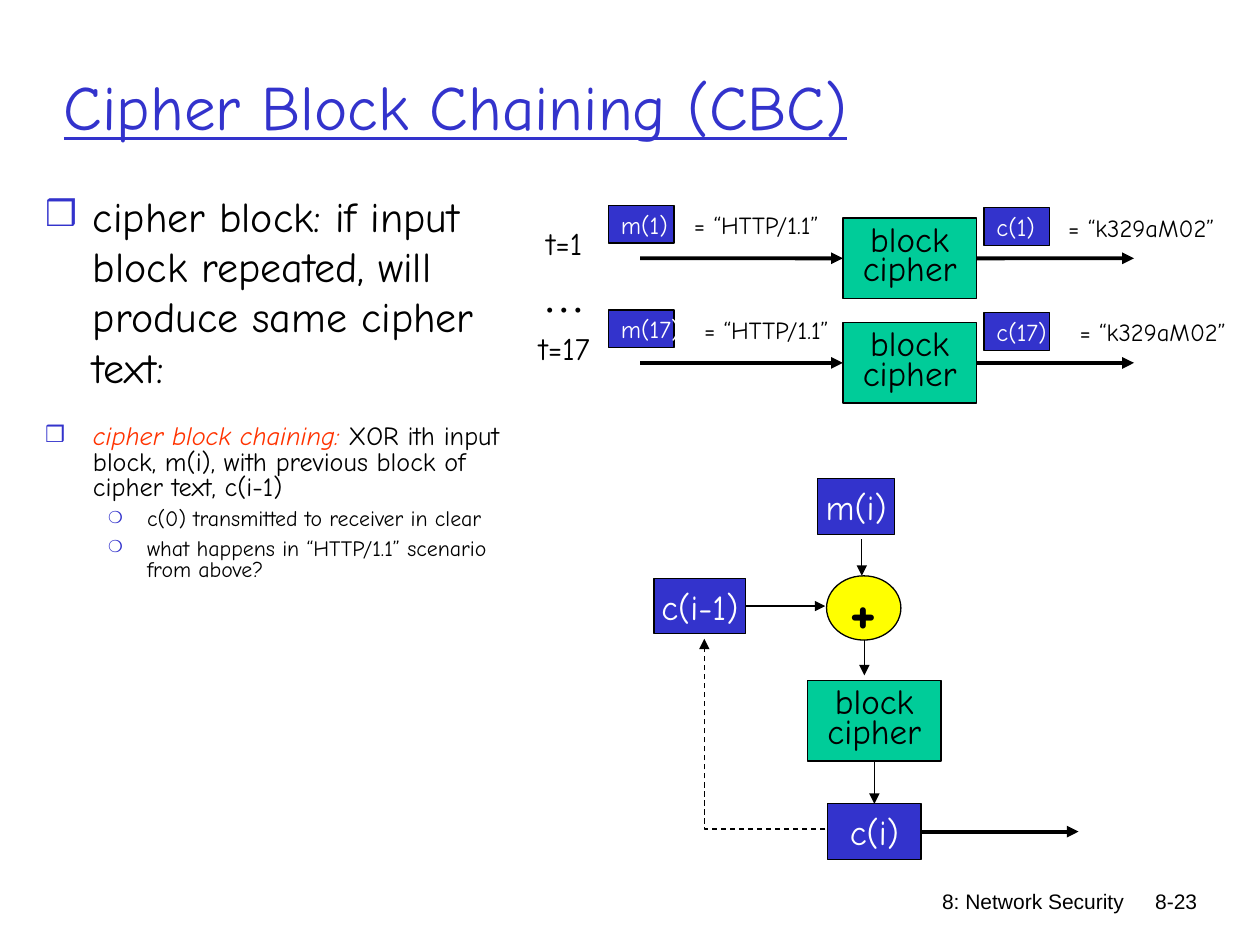
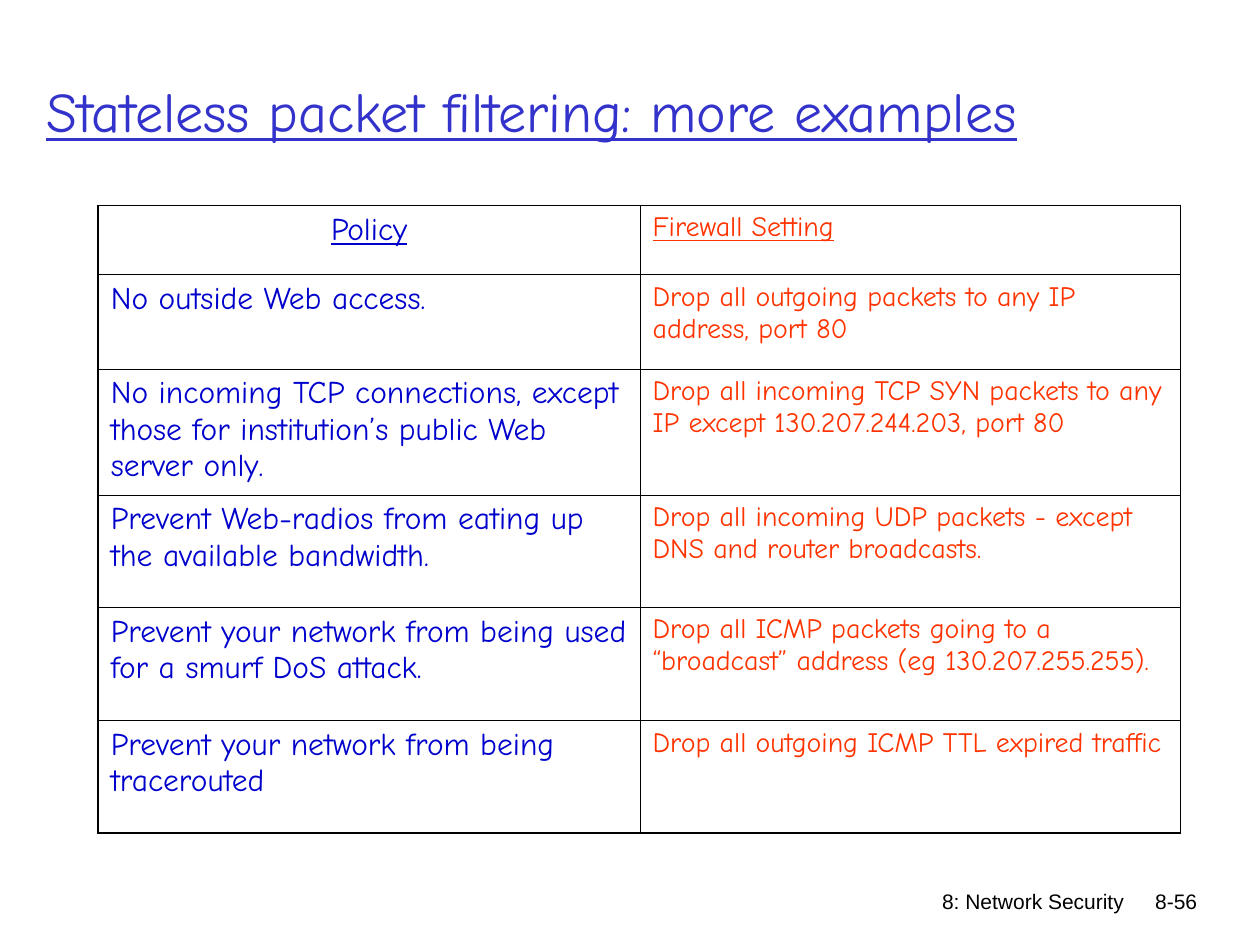
"""Build two network security slides: cipher block chaining and packet filtering."""
from dataclasses import dataclass
from typing import Optional

from lxml import etree
from pptx import Presentation
from pptx.dml.color import RGBColor
from pptx.enum.dml import MSO_LINE
from pptx.enum.shapes import MSO_CONNECTOR, MSO_SHAPE
from pptx.enum.text import MSO_ANCHOR, PP_ALIGN
from pptx.oxml.ns import qn
from pptx.util import Inches, Pt

BLACK = RGBColor(0, 0, 0)
WHITE = RGBColor(255, 255, 255)
BLUE = RGBColor(0x33, 0x33, 0xCC)
NAVY = RGBColor(0, 0, 0xCC)
GREEN = RGBColor(0, 0xCC, 0x99)
YELLOW = RGBColor(255, 255, 0)
RED = RGBColor(255, 0x33, 0)

COMIC, ARIAL, TIMES = "Comic Neue", "Arial", "Times New Roman"
LEFT, CENTER, RIGHT = PP_ALIGN.LEFT, PP_ALIGN.CENTER, PP_ALIGN.RIGHT
TOP, MIDDLE = MSO_ANCHOR.TOP, MSO_ANCHOR.MIDDLE
RECT, OVAL = MSO_SHAPE.RECTANGLE, MSO_SHAPE.OVAL
STRAIGHT, DASH = MSO_CONNECTOR.STRAIGHT, MSO_LINE.DASH
SIDE_LEFT, SIDE_DOWN, SIDE_RIGHT, SIDE_UP = 1, 2, 3, 0
THIN, THICK = 0.75, 2.25


@dataclass
class Run:
    """A stretch of text with one look."""
    text: str
    size: float
    color: RGBColor = BLACK
    font: str = COMIC
    bold: bool = False
    slant: bool = False
    under: bool = False


@dataclass
class Area:
    """A place on the slide, in inches."""
    x: float
    y: float
    w: float
    h: float

    def lengths(self) -> list:
        """Return the four lengths for a new shape."""
        return [Inches(v) for v in (self.x, self.y, self.w, self.h)]


@dataclass
class Block:
    """A filled shape with centred lines of text."""
    area: Area
    fill: RGBColor
    lines: list
    kind: int = RECT
    align: int = CENTER
    spacing: float = 1.0


@dataclass
class Wire:
    """An arrow that may join a block at either end."""
    start: tuple
    end: tuple
    width: float = THIN
    source: Optional[tuple] = None
    target: Optional[tuple] = None


@dataclass
class Point:
    """A bulleted paragraph."""
    runs: list
    level: int = 0
    spacing: float = 1.0


@dataclass
class Step:
    """One time step of the plain block cipher."""
    time: int
    top: float
    plain_x: float
    coded_x: float


STEPS = [Step(1, 1.63, 5.41, 8.38), Step(17, 2.46, 5.49, 8.47)]
BULLETS = [("❒", 85, 0.38, 0.38), ("❍", 75, 0.81, 0.31)]
POLICIES = [
    ("Policy", "Firewall Setting"),
    ("No outside Web access.",
     "Drop all outgoing packets to any IP address, port 80"),
    ("No incoming TCP connections, except those for institution’s public Web server only.",
     "Drop all incoming TCP SYN packets to any IP except 130.207.244.203, port 80"),
    ("Prevent Web-radios from eating up the available bandwidth.",
     "Drop all incoming UDP packets - except DNS and router broadcasts."),
    ("Prevent your network from being used for a smurf DoS attack.",
     "Drop all ICMP packets going to a “broadcast” address (eg 130.207.255.255)."),
    ("Prevent your network from being tracerouted",
     "Drop all outgoing ICMP TTL expired traffic"),
]
COLUMNS = [4.3, 4.29]
ROWS = [0.55, 0.75, 1, 0.89, 0.9, 0.89]


def write(para, run: Run) -> None:
    """Add one run to a paragraph."""
    part = para.add_run()
    part.text = run.text
    font = part.font
    font.name, font.size, font.color.rgb = run.font, Pt(run.size), run.color
    font.bold, font.italic, font.underline = run.bold, run.slant, run.under


def add_text(slide, area: Area, run: Run, align: int = LEFT,
             wrap: bool = False, anchor: int = TOP) -> None:
    """Add a text box with a single run."""
    frame = slide.shapes.add_textbox(*area.lengths()).text_frame
    frame.word_wrap, frame.vertical_anchor = wrap, anchor
    para = frame.paragraphs[0]
    para.alignment = align
    write(para, run)


def add_block(slide, block: Block):
    """Draw a filled shape and return it."""
    shape = slide.shapes.add_shape(block.kind, *block.area.lengths())
    shape.shadow.inherit = False
    shape.fill.solid()
    shape.fill.fore_color.rgb = block.fill
    shape.line.color.rgb, shape.line.width = BLACK, Pt(THIN)
    frame = shape.text_frame
    frame.word_wrap, frame.vertical_anchor = False, MIDDLE
    frame.margin_top = frame.margin_bottom = 0
    frame.margin_left = Inches(0.1 if block.align == LEFT else 0)
    frame.margin_right = 0
    for i, run in enumerate(block.lines):
        para = frame.add_paragraph() if i else frame.paragraphs[0]
        para.alignment, para.line_spacing = block.align, block.spacing
        write(para, run)
    return shape


def add_head(line) -> None:
    """Give a line black ink and an arrowhead at its end."""
    line.color.rgb = BLACK
    etree.SubElement(line._get_or_add_ln(), qn("a:tailEnd"), type="triangle")


def add_wire(slide, wire: Wire) -> None:
    """Draw an arrow and join it to its blocks."""
    ends = [Inches(v) for v in (*wire.start, *wire.end)]
    link = slide.shapes.add_connector(STRAIGHT, *ends)
    if wire.source:
        link.begin_connect(*wire.source)
    if wire.target:
        link.end_connect(*wire.target)
    link.line.width = Pt(wire.width)
    add_head(link.line)
    etree.SubElement(link._element.spPr, qn("a:effectLst"))


def add_points(slide, area: Area, points: list) -> None:
    """Add a list of bulleted paragraphs."""
    frame = slide.shapes.add_textbox(*area.lengths()).text_frame
    frame.word_wrap = True
    for i, point in enumerate(points):
        para = frame.add_paragraph() if i else frame.paragraphs[0]
        mark, size, margin, hang = BULLETS[point.level]
        para.level, para.line_spacing = point.level, point.spacing
        para.space_before = Pt(5 if i else 0)
        props = para._p.get_or_add_pPr()
        props.set("marL", str(Inches(margin)))
        props.set("indent", str(-Inches(hang)))
        ink = etree.SubElement(props, qn("a:buClr"))
        etree.SubElement(ink, qn("a:srgbClr"), val=str(BLUE))
        etree.SubElement(props, qn("a:buSzPct"), val=str(size * 1000))
        etree.SubElement(props, qn("a:buFont"), typeface=COMIC)
        etree.SubElement(props, qn("a:buChar"), char=mark)
        for run in point.runs:
            write(para, run)


def start_slide(deck, page: str, title: Run, area: Area):
    """Add a slide with its footer, page number and title."""
    slide = deck.slides.add_slide(deck.slide_layouts[6])
    for text, place in (("8: Network Security", Area(5.85, 7, 3.17, 0.5)),
                        (page, Area(8.8, 7, 0.8, 0.32))):
        add_text(slide, place, Run(text, 12, font=ARIAL), RIGHT, wrap=True)
    add_text(slide, area, title, wrap=True, anchor=MIDDLE)
    return slide


def cipher_block(x: float, y: float) -> Block:
    """Describe a green cipher box."""
    lines = [Run("block", 20), Run("cipher", 20)]
    return Block(Area(x, y, 1.06, 0.64), GREEN, lines, spacing=0.7)


def draw_step(slide, step: Step) -> None:
    """Draw one time step, from message to coded text."""
    top, mid = step.top, step.top + 0.42
    add_text(slide, Area(4.08, top + 0.1, 0.8, 0.4), Run(f"t={step.time}", 18), CENTER)
    box = add_block(slide, cipher_block(6.69, top + 0.1))
    for name, x, y, text, text_x, width in (
            ("m", 4.83, top, "= “HTTP/1.1”", step.plain_x, 1.2),
            ("c", 7.81, top + 0.02, "= “k329aM02”", step.coded_x, 1.5)):
        label = Run(f"{name}({step.time})", 14, WHITE)
        add_block(slide, Block(Area(x, y, 0.52, 0.3), BLUE, [label], align=LEFT))
        add_text(slide, Area(text_x, y - 0.01, width, 0.34), Run(text, 14))
    add_wire(slide, Wire((5.08, mid), (6.69, mid), THICK, target=(box, SIDE_LEFT)))
    add_wire(slide, Wire((7.75, mid), (9, mid), THICK, source=(box, SIDE_RIGHT)))


def draw_chain(slide) -> None:
    """Draw the chain with its feedback loop."""
    def value(text: str, x: float, y: float, w: float):
        """Draw one blue value box."""
        return add_block(slide, Block(Area(x, y, w, 0.44), BLUE, [Run(text, 20, WHITE)]))

    value("m(i)", 6.49, 3.8, 0.61)
    prior = value("c(i-1)", 5.19, 4.59, 0.73)
    coded = value("c(i)", 6.57, 6.38, 0.74)
    add_block(slide, Block(Area(6.56, 4.57, 0.59, 0.51), YELLOW,
                           [Run("+", 36, bold=True)], OVAL))
    box = add_block(slide, cipher_block(6.41, 5.4))
    for wire in (
            Wire((6.84, 4.28), (6.84, 4.57)),
            Wire((5.92, 4.81), (6.55, 4.81), source=(prior, SIDE_RIGHT)),
            Wire((6.86, 5.08), (6.86, 5.36)),
            Wire((6.94, 6.04), (6.94, 6.38), source=(box, SIDE_DOWN), target=(coded, SIDE_UP)),
            Wire((7.31, 6.6), (8.56, 6.6), THICK, source=(coded, SIDE_RIGHT))):
        add_wire(slide, wire)
    pen = slide.shapes.build_freeform(Inches(6.55), Inches(6.58))
    pen.add_line_segments([(Inches(5.59), Inches(6.58)), (Inches(5.59), Inches(5.07))], close=False)
    loop = pen.convert_to_shape()
    loop.shadow.inherit = False
    loop.fill.background()
    loop.line.width, loop.line.dash_style = Pt(THIN), DASH
    add_head(loop.line)


def add_border(cell, side: str, width: float) -> None:
    """Draw one black edge of a cell."""
    props = cell._tc.get_or_add_tcPr()
    edge = etree.SubElement(props, qn(f"a:ln{side}"), w=str(Pt(width)))
    fill = etree.SubElement(edge, qn("a:solidFill"))
    etree.SubElement(fill, qn("a:srgbClr"), val=str(BLACK))


def draw_table(slide) -> None:
    """Draw the table of policies and firewall settings."""
    area = Area(0.78, 1.63, sum(COLUMNS), sum(ROWS))
    table = slide.shapes.add_table(len(ROWS), len(COLUMNS), *area.lengths()).table
    table.first_row = table.horz_banding = False
    for col, width in zip(table.columns, COLUMNS):
        col.width = Inches(width)
    for r, (height, texts) in enumerate(zip(ROWS, POLICIES)):
        table.rows[r].height = Inches(height)
        for c, text in enumerate(texts):
            cell = table.cell(r, c)
            outer = {"L": c == 0, "R": c == len(COLUMNS) - 1,
                     "T": r == 0, "B": r == len(ROWS) - 1}
            for side, edge in outer.items():
                add_border(cell, side, 1.08 if edge else 0.45)
            cell.fill.background()
            para = cell.text_frame.paragraphs[0]
            para.alignment = CENTER if r == c == 0 else LEFT
            size, color = ((18, NAVY), (16, RED))[c]
            write(para, Run(text, size, color, under=r == 0))


def main() -> None:
    """Build and save both slides."""
    deck = Presentation()
    deck.slide_width, deck.slide_height = Inches(10), Inches(7.5)

    title = Run("Cipher Block Chaining (CBC)", 36, BLUE, under=True)
    slide = start_slide(deck, "8-23", title, Area(0.41, 0.21, 8.67, 1.25))
    add_points(slide, Area(0.26, 1.46, 3.86, 1.91), [Point([
        Run("cipher block: if input block repeated, will produce same cipher text:", 24)])])
    add_points(slide, Area(0.26, 3.33, 3.96, 1.91), [
        Point([Run("cipher block chaining:", 15, RED, slant=True),
               Run(" XOR ith input block, m(i), with previous block of cipher text, c(i-1)", 15)],
              spacing=0.8),
        Point([Run("c(0) transmitted to receiver in clear", 12.5)], 1, 0.8),
        Point([Run("what happens in “HTTP/1.1” scenario from above?", 12.5)], 1, 0.8)])
    for step in STEPS:
        draw_step(slide, step)
    add_text(slide, Area(4.21, 2.1, 0.53, 0.5), Run("…", 24, font=TIMES), CENTER)
    draw_chain(slide)

    title = Run("Stateless packet filtering: more examples", 32, BLUE, under=True)
    slide = start_slide(deck, "8-56", title, Area(0.27, 0.25, 9.16, 1.25))
    draw_table(slide)
    deck.save("out.pptx")


if __name__ == "__main__":
    main()
